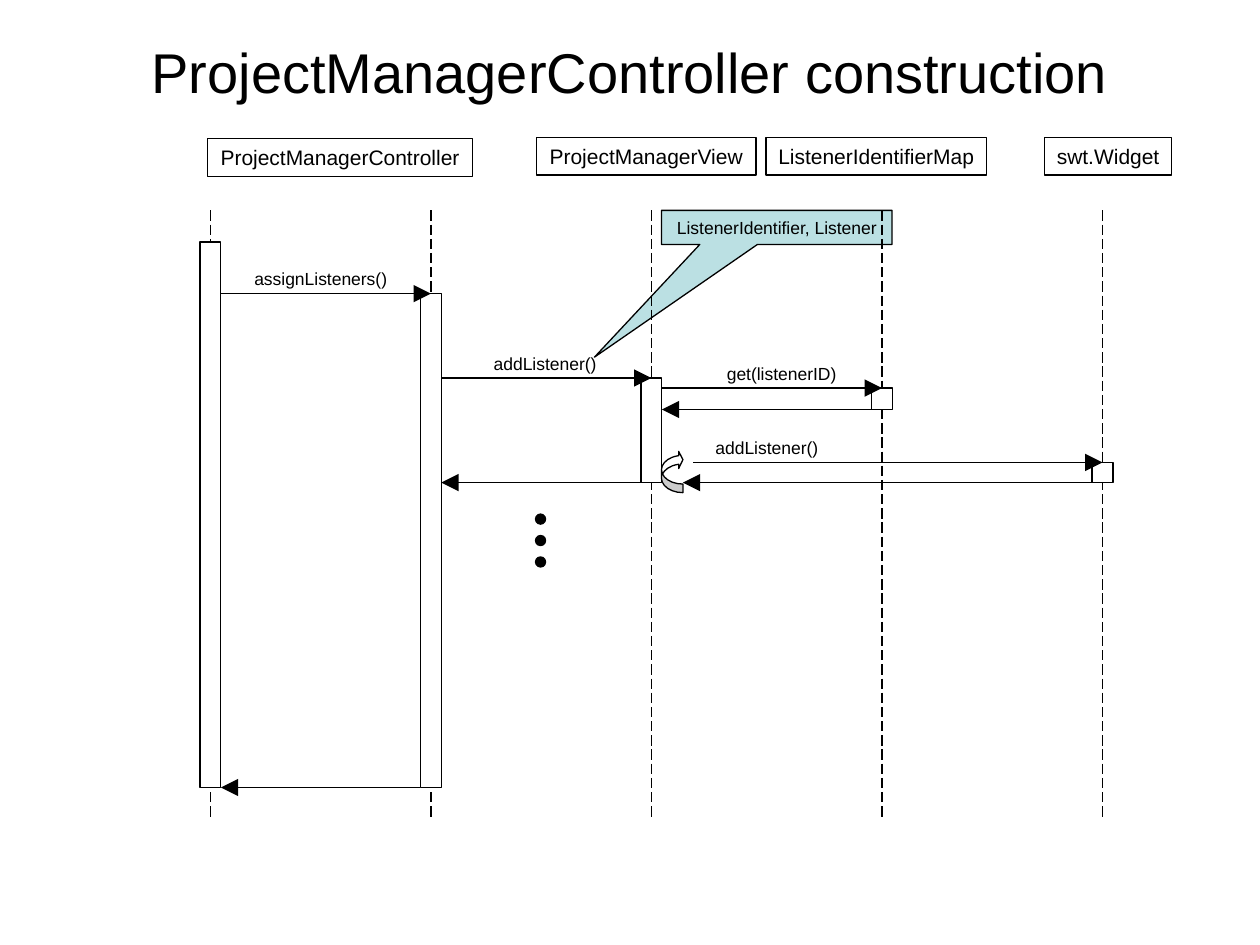
from dataclasses import dataclass

from lxml import etree
from pptx import Presentation
from pptx import util as u
from pptx.dml.color import RGBColor
from pptx.enum import dml, shapes, text
from pptx.oxml.ns import qn


@dataclass(frozen=True)
class Theme:
    font: str = "Arial"
    ink: str = "000000"
    paper: str = "FFFFFF"
    note: str = "BBE0E3"
    title_size: int = 32
    head_size: int = 12
    message_size: int = 10
    line_width: float = 0.75


def write(frame, words, theme, size, align=text.PP_ALIGN.CENTER,
          anchor=text.MSO_ANCHOR.MIDDLE, wrap=False):
    frame.word_wrap = wrap
    frame.vertical_anchor = anchor
    paragraph = frame.paragraphs[0]
    paragraph.alignment = align
    run = paragraph.add_run()
    run.text = words
    run.font.name = theme.font
    run.font.size = u.Pt(size)
    run.font.color.rgb = RGBColor.from_string(theme.ink)


class SequenceDiagram:
    def __init__(self, slide, theme):
        self.slide = slide
        self.theme = theme

    def _outline(self, line):
        line.color.rgb = RGBColor.from_string(self.theme.ink)
        line.width = u.Pt(self.theme.line_width)

    def block(self, kind, left, top, width, height, fill=None):
        block = self.slide.shapes.add_shape(
            kind, *map(u.Inches, (left, top, width, height)))
        block.shadow.inherit = False
        if fill:
            block.fill.solid()
            block.fill.fore_color.rgb = RGBColor.from_string(fill)
        else:
            block.fill.background()
        self._outline(block.line)
        return block

    def line(self, start, end):
        line = self.slide.shapes.add_connector(
            shapes.MSO_CONNECTOR.STRAIGHT, *map(u.Inches, (*start, *end)))
        self._outline(line.line)
        etree.SubElement(line._element.spPr, qn("a:effectLst"))
        return line

    def caption(self, words, left, top, width, height, size, **style):
        box = self.slide.shapes.add_textbox(
            *map(u.Inches, (left, top, width, height)))
        write(box.text_frame, words, self.theme, size, **style)

    def participant(self, words, left, top, width):
        head = self.block(shapes.MSO_SHAPE.RECTANGLE, left, top, width, 0.3)
        write(head.text_frame, words, self.theme, self.theme.head_size)

    def lifeline(self, x):
        self.line((x, 1.67), (x, 6.5)).line.dash_style = dml.MSO_LINE.LONG_DASH

    def activation(self, x, top, bottom):
        self.block(shapes.MSO_SHAPE.RECTANGLE, x - HALF_BAR, top,
                   2 * HALF_BAR, bottom - top, self.theme.paper)

    def message(self, start_x, end_x, y):
        arrow = self.line((start_x, y), (end_x, y))
        etree.SubElement(arrow._element.spPr.find(qn("a:ln")), qn("a:tailEnd"),
                         type="triangle", w="lg", len="lg")

    def message_name(self, words, left, top, width):
        self.caption(words, left, top, width, 0.27, self.theme.message_size,
                     align=text.PP_ALIGN.LEFT, anchor=text.MSO_ANCHOR.TOP)

    def callout(self, words, left, top, width, height, pointer):
        note = self.block(shapes.MSO_SHAPE.RECTANGULAR_CALLOUT,
                          left, top, width, height, self.theme.note)
        note.adjustments[0], note.adjustments[1] = pointer
        write(note.text_frame, words, self.theme, self.theme.message_size,
              anchor=text.MSO_ANCHOR.TOP)

    def loop(self, left, top, width, height):
        loop = self.block(shapes.MSO_SHAPE.CURVED_LEFT_ARROW,
                          left, top, width, height, self.theme.paper)
        loop.rotation = 180
        for index, value in enumerate((0.4, 0.8, 0.2)):
            loop.adjustments[index] = value

    def ellipsis(self, left, top, step, size):
        for index in range(3):
            self.block(shapes.MSO_SHAPE.OVAL, left, top + index * step,
                       size, size, self.theme.ink)


HALF_BAR = 0.083
CALLER, CONTROLLER, VIEW, ID_MAP, WIDGET = LIFELINES = (1.67, 3.42, 5.17, 7, 8.75)

PARTICIPANTS = [
    ("ProjectManagerController", 1.65, 1.1, 2.1),
    ("ProjectManagerView", 4.26, 1.09, 1.74),
    ("ListenerIdentifierMap", 6.08, 1.09, 1.75),
    ("swt.Widget", 8.29, 1.09, 1.01),
]
ACTIVATIONS = [
    (CALLER, 1.92, 6.25),
    (CONTROLLER, 2.33, 6.25),
    (VIEW, 3, 3.83),
    (ID_MAP, 3.08, 3.25),
    (WIDGET, 3.67, 3.83),
]
MESSAGES = [
    (CALLER + HALF_BAR, CONTROLLER, 2.33),
    (CONTROLLER + HALF_BAR, VIEW, 3),
    (VIEW + HALF_BAR, ID_MAP, 3.08),
    (ID_MAP, VIEW + HALF_BAR, 3.25),
    (5.5, WIDGET, 3.67),
    (WIDGET, 5.42, 3.83),
    (VIEW - HALF_BAR, CONTROLLER + HALF_BAR, 3.83),
    (CONTROLLER - HALF_BAR, CALLER + HALF_BAR, 6.25),
]
MESSAGE_NAMES = [
    ("assignListeners()", 1.92, 2.08, 1.27),
    ("addListener()", 3.82, 2.75, 1.04),
    ("get(listenerID)", 5.67, 2.83, 1.09),
    ("addListener()", 5.58, 3.42, 1.04),
]


def main():
    deck = Presentation()
    deck.slide_width, deck.slide_height = u.Inches(10), u.Inches(7.5)
    theme = Theme()
    diagram = SequenceDiagram(deck.slides.add_slide(deck.slide_layouts[6]), theme)

    diagram.caption("ProjectManagerController construction",
                    0.5, 0.3, 9, 0.53, theme.title_size, wrap=True)
    for participant in PARTICIPANTS:
        diagram.participant(*participant)
    diagram.callout("ListenerIdentifier, Listener",
                    5.25, 1.67, 1.83, 0.27, (-0.791, 3.816))
    for x in LIFELINES:
        diagram.lifeline(x)
    for activation in ACTIVATIONS:
        diagram.activation(*activation)
    for message in MESSAGES:
        diagram.message(*message)
    for message_name in MESSAGE_NAMES:
        diagram.message_name(*message_name)
    diagram.loop(5.25, 3.58, 0.17, 0.33)
    diagram.ellipsis(4.25, 4.08, 0.17, 0.08)

    deck.save("out.pptx")


if __name__ == "__main__":
    main()
